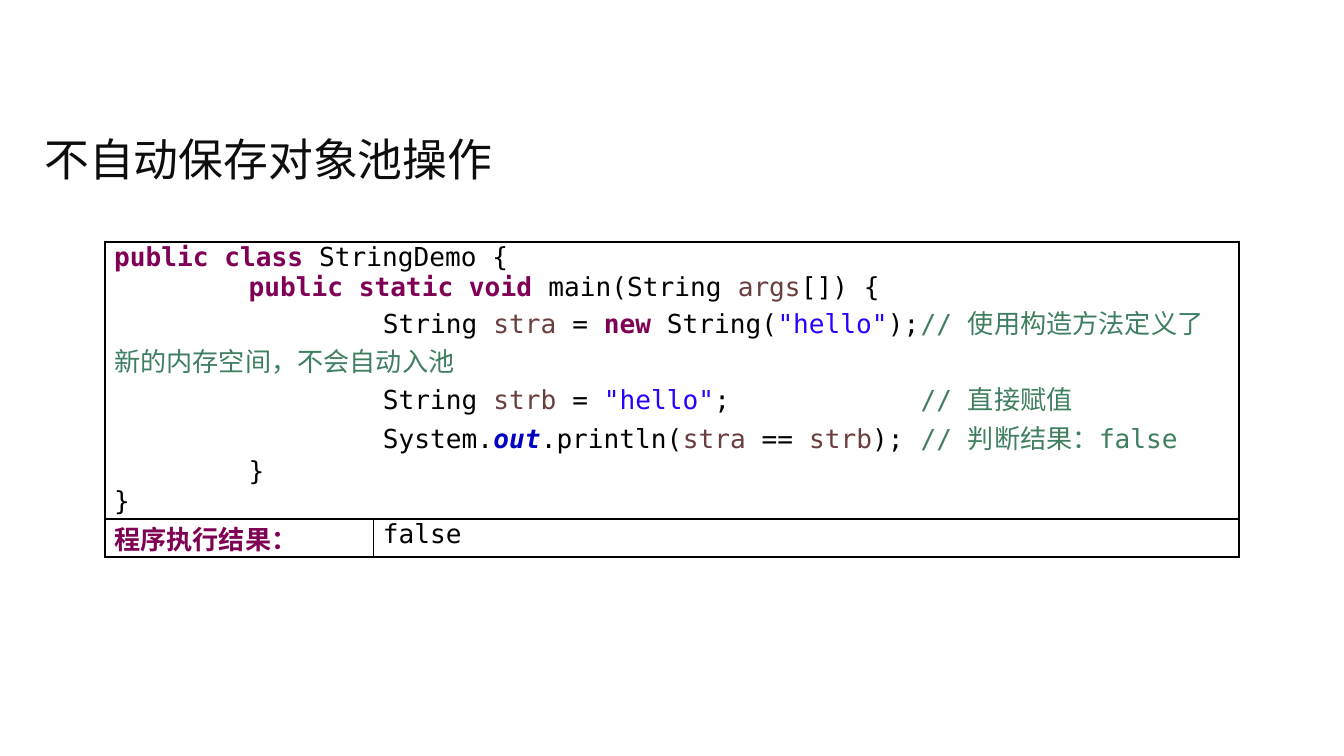
from lxml.etree import SubElement
from pptx import Presentation
from pptx.dml.color import RGBColor
from pptx.enum.text import MSO_ANCHOR, PP_ALIGN
from pptx.oxml.ns import qn
from pptx.util import Inches, Pt

THEME = {
    "mono": "DejaVu Sans Mono", "cjk": "Noto Sans CJK SC",
    "title_size": 24, "code_size": 14,
    "title": "0D0D0D", "plain": "000000", "key": "7F0055", "var": "6A3E3E",
    "str": "2A00FF", "note": "3F7F5F", "static": "0000C0", "border": "000000",
}
BOLD = {"key", "static"}
CODE = [
    [("public class", "key"), (" StringDemo {", "plain")],
    [("\t", "plain"), ("public static void", "key"), (" main(String ", "plain"),
     ("args", "var"), ("[]) {", "plain")],
    [("\t\tString ", "plain"), ("stra", "var"), (" = ", "plain"), ("new", "key"),
     (" String(", "plain"), ('"hello"', "str"), (");\t", "plain"),
     ("// 使用构造方法定义了新的内存空间，不会自动入池", "note")],
    [("\t\tString ", "plain"), ("strb", "var"), (" = ", "plain"),
     ('"hello"', "str"), (";\t\t", "plain"), ("// 直接赋值", "note")],
    [("\t\tSystem.", "plain"), ("out", "static"), (".println(", "plain"),
     ("stra", "var"), (" == ", "plain"), ("strb", "var"), (");\t", "plain"),
     ("// 判断结果：false", "note")],
    [("\t}", "plain")],
    [("}", "plain")],
]
CELLS = {
    (0, 0): CODE,
    (1, 0): [[("程序执行结果：", "key")]],
    (1, 1): [[("false", "plain")]],
}


def add_run(p, text, role, size, face):
    r = p.add_run()
    r.text = text
    r.font.name = face
    r.font.size = Pt(size)
    r.font.bold = role in BOLD
    r.font.italic = role == "static"
    r.font.color.rgb = RGBColor.from_string(THEME[role])
    SubElement(r.font._element, qn("a:ea"), typeface=THEME["cjk"])


def add_borders(cell):
    tcPr = cell._tc.get_or_add_tcPr()
    for i, side in enumerate(("lnL", "lnR", "lnT", "lnB")):
        ln = SubElement(tcPr, qn(f"a:{side}"), w=str(Pt(1)))
        fill = SubElement(ln, qn("a:solidFill"))
        SubElement(fill, qn("a:srgbClr"), val=THEME["border"])
        tcPr.insert(i, ln)


prs = Presentation()
prs.slide_width = Inches(10)
prs.slide_height = prs.slide_width * 9 // 16
s = prs.slides.add_slide(prs.slide_layouts[5])

title = s.shapes.title
title.left, title.top = Inches(0.23), Inches(0.86)
title.width, title.height = Inches(9.53), Inches(0.64)
tf = title.text_frame
tf.vertical_anchor = MSO_ANCHOR.MIDDLE
p = tf.paragraphs[0]
p.alignment = PP_ALIGN.LEFT
add_run(p, "不自动保存对象池操作", "title", THEME["title_size"], THEME["cjk"])

cols, rows = (2, 6.44), (2.06, 0.21)
table = s.shapes.add_table(len(rows), len(cols), Inches(0.78), Inches(1.8),
                           Inches(sum(cols)), Inches(sum(rows))).table
table.first_row = table.horz_banding = False
for col, w in zip(table.columns, cols):
    col.width = Inches(w)
for row, h in zip(table.rows, rows):
    row.height = Inches(h)
table.cell(0, 0).merge(table.cell(0, 1))

for cell in table.iter_cells():
    cell.margin_left = cell.margin_right = Inches(0.07)
    cell.margin_top = cell.margin_bottom = 0
    cell.fill.background()
    add_borders(cell)

for (row, col), lines in CELLS.items():
    tf = table.cell(row, col).text_frame
    for i, line in enumerate(lines):
        p = tf.add_paragraph() if i else tf.paragraphs[0]
        p._p.get_or_add_pPr().set("defTabSz", str(Inches(1)))
        for text, role in line:
            add_run(p, text, role, THEME["code_size"], THEME["mono"])

prs.save("out.pptx")
